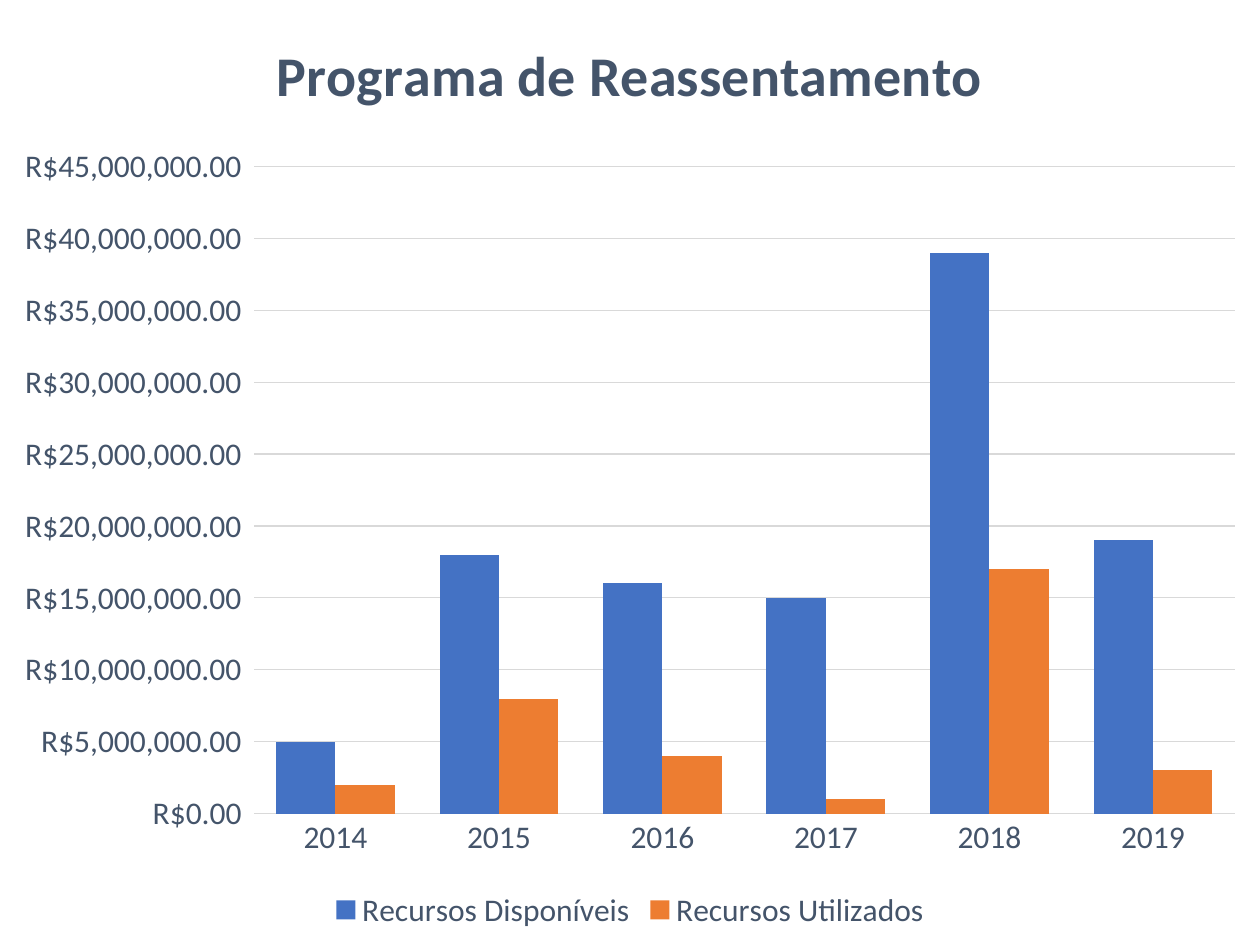
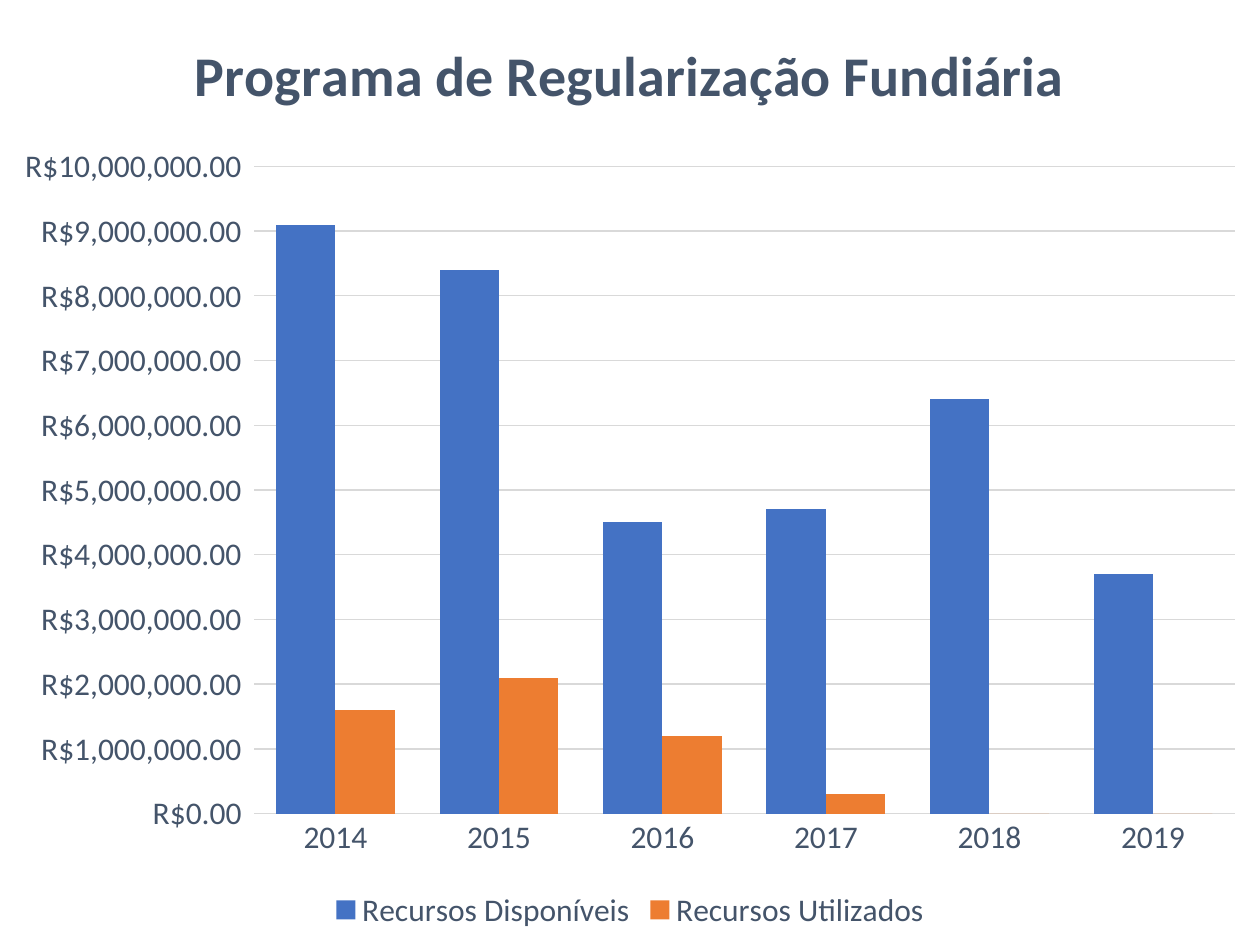
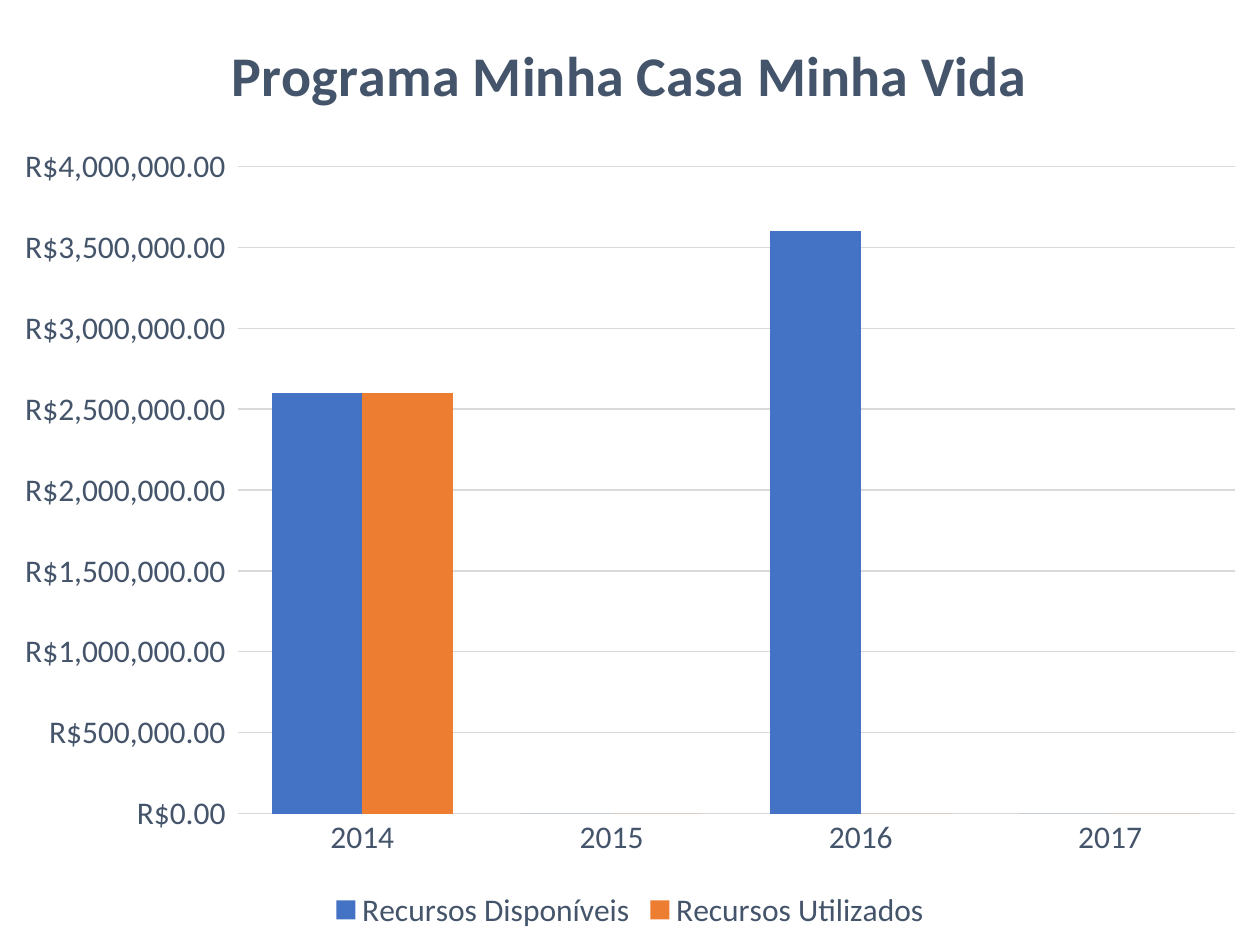
from dataclasses import dataclass

import pptx
import pptx.chart.data
import pptx.dml.color
import pptx.enum.chart
import pptx.util

Pt = pptx.util.Pt

# Shared look
COLORS = {"text": "44546A", "grid": "D9D9D9", "available": "4472C4",
          "used": "ED7D31", "background": "FFFFFF"}
FONT = "Calibri"
CURRENCY = '"R$"#,##0.00_);[Red]\\("R$"#,##0.00\\)'
MILLION = 1_000_000
FIRST_YEAR = 2014
SLIDE_W, SLIDE_H, CHART_H = 720, 540, 534.5


@dataclass
class Program:
    """Yearly funds of one housing program, in millions of reais."""
    title: str
    available: list[float]
    used: list[float]


PROGRAMS = [
    Program("Programa de Reassentamento",
            [5, 18, 16, 15, 39, 19],
            [2, 8, 4, 1, 17, 3]),
    Program("Programa de Regularização Fundiária",
            [9.1, 8.4, 4.5, 4.7, 6.4, 3.7],
            [1.6, 2.1, 1.2, 0.3, 0, 0]),
    Program("Programa Minha Casa Minha Vida",
            [2.6, 0, 3.6, 0],
            [2.6, 0, 0, 0]),
]


def rgb(name: str) -> pptx.dml.color.RGBColor:
    return pptx.dml.color.RGBColor.from_string(COLORS[name])


def style_font(font, size: float, bold: bool = False) -> None:
    font.name = FONT
    font.size = Pt(size)
    font.bold = bold
    font.color.rgb = rgb("text")


def style_axis(axis) -> None:
    axis.major_tick_mark = pptx.enum.chart.XL_TICK_MARK.NONE
    axis.minor_tick_mark = pptx.enum.chart.XL_TICK_MARK.NONE
    axis.format.line.fill.background()
    style_font(axis.tick_labels.font, 18)


def chart_data(program: Program) -> pptx.chart.data.CategoryChartData:
    data = pptx.chart.data.CategoryChartData(number_format=CURRENCY)
    data.categories = [str(FIRST_YEAR + i) for i in range(len(program.available))]
    for name, values in (("Recursos Disponíveis", program.available),
                         ("Recursos Utilizados", program.used)):
        data.add_series(name, [round(v * MILLION) for v in values])
    return data


def add_program_slide(prs, program: Program) -> None:
    s = prs.slides.add_slide(prs.slide_layouts[6])
    s.background.fill.solid()
    s.background.fill.fore_color.rgb = rgb("background")
    chart = s.shapes.add_chart(
        pptx.enum.chart.XL_CHART_TYPE.COLUMN_CLUSTERED,
        Pt(0), Pt(0), Pt(SLIDE_W), Pt(CHART_H), chart_data(program)).chart
    style_font(chart.font, 18)

    # Title
    chart.has_title = True
    chart.chart_title.include_in_layout = False
    p = chart.chart_title.text_frame.paragraphs[0]
    r = p.add_run()
    r.text = program.title
    style_font(r.font, 32, bold=True)

    # Axes
    style_axis(chart.category_axis)
    axis = chart.value_axis
    style_axis(axis)
    axis.tick_labels.number_format = CURRENCY
    axis.tick_labels.number_format_is_linked = False
    axis.has_major_gridlines = True
    grid = axis.major_gridlines.format.line
    grid.color.rgb = rgb("grid")
    grid.width = Pt(0.75)

    # Columns
    plot = chart.plots[0]
    plot.gap_width = 75
    plot.overlap = 0
    plot.vary_by_categories = False
    for series, color in zip(plot.series, ("available", "used")):
        series.format.fill.solid()
        series.format.fill.fore_color.rgb = rgb(color)
        series.invert_if_negative = False

    # Legend
    chart.has_legend = True
    chart.legend.position = pptx.enum.chart.XL_LEGEND_POSITION.BOTTOM
    chart.legend.include_in_layout = False
    style_font(chart.legend.font, 18)


prs = pptx.Presentation()
prs.slide_width, prs.slide_height = Pt(SLIDE_W), Pt(SLIDE_H)
for program in PROGRAMS:
    add_program_slide(prs, program)
prs.save("out.pptx")
